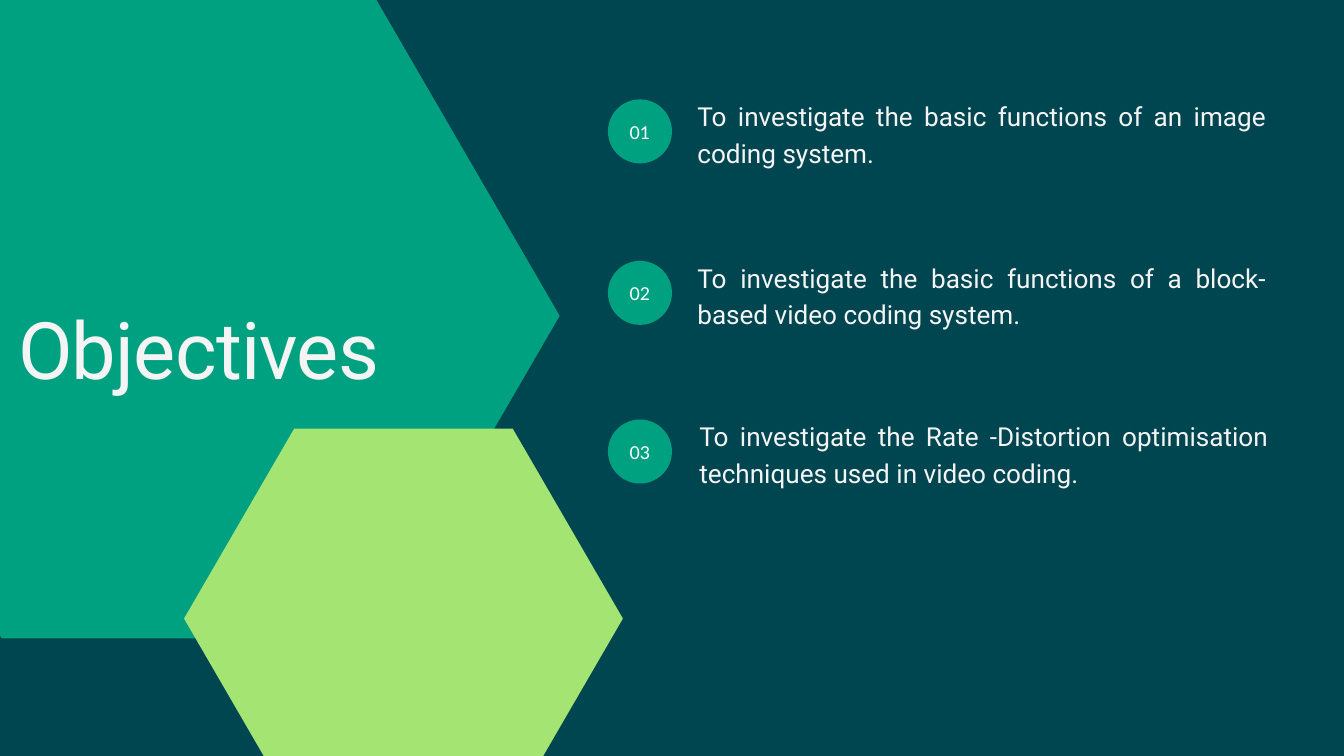
from dataclasses import dataclass

from pptx import Presentation
from pptx.dml.color import RGBColor
from pptx.enum.shapes import MSO_SHAPE
from pptx.enum.text import MSO_ANCHOR, MSO_AUTO_SIZE, PP_ALIGN
from pptx.shapes.autoshape import Shape
from pptx.slide import Slide
from pptx.text.text import TextFrame
from pptx.util import Pt

HEX, OVAL = MSO_SHAPE.HEXAGON, MSO_SHAPE.OVAL
MIDDLE, GROW = MSO_ANCHOR.MIDDLE, MSO_AUTO_SIZE.SHAPE_TO_FIT_TEXT
LEFT, CENTER, JUSTIFY = PP_ALIGN.LEFT, PP_ALIGN.CENTER, PP_ALIGN.JUSTIFY

NAVY = RGBColor(0x00, 0x46, 0x51)
GREEN = RGBColor(0x00, 0xA1, 0x81)
LIME = RGBColor(0xA4, 0xE4, 0x73)
PALE = RGBColor(0xF4, 0xF4, 0xF4)
WHITE = RGBColor(0xFF, 0xFF, 0xFF)

DOT_LEFT, DOT_SIZE = 651.4, 68.6
TEXT_RISE = 4.3


@dataclass(frozen=True)
class Box:
    left: float
    top: float
    width: float
    height: float


@dataclass(frozen=True)
class Style:
    face: str
    size: float
    pitch: float
    color: RGBColor
    align: PP_ALIGN


@dataclass(frozen=True)
class Goal:
    top: float
    left: float
    text: str


TITLE = Style("Roboto", 85, 102, PALE, LEFT)
BODY = Style("Roboto", 28, 39.2, PALE, JUSTIFY)
BADGE = Style("Lato", 19, 26.6, WHITE, CENTER)

HEXES = [
    (Box(-198.6, -7.2, 798.2, 691.2), GREEN),
    (Box(197.2, 459.3, 470.2, 406.9), LIME),
]
GOALS = [
    Goal(106.5, 747.2, "To investigate the basic functions of an image coding system."),
    Goal(279.5, 747.2, "To investigate the basic functions of a block-based video coding system."),
    Goal(449.5, 749.4, "To investigate the Rate -Distortion optimisation techniques used in video coding."),
]


def add_shape(slide: Slide, kind: MSO_SHAPE, box: Box, color: RGBColor) -> Shape:
    shape = slide.shapes.add_shape(
        kind, Pt(box.left), Pt(box.top), Pt(box.width), Pt(box.height))
    shape.shadow.inherit = False
    shape.fill.solid()
    shape.fill.fore_color.rgb = color
    shape.line.fill.background()
    return shape


def set_text(frame: TextFrame, text: str, style: Style) -> None:
    frame.margin_left = frame.margin_right = 0
    frame.margin_top = frame.margin_bottom = 0
    frame.word_wrap = True
    para = frame.paragraphs[0]
    para.add_run().text = text
    para.alignment = style.align
    para.line_spacing = Pt(style.pitch)
    para.font.name = style.face
    para.font.size = Pt(style.size)
    para.font.color.rgb = style.color


def add_text(slide: Slide, box: Box, text: str, style: Style) -> TextFrame:
    frame = slide.shapes.add_textbox(
        Pt(box.left), Pt(box.top), Pt(box.width), Pt(box.height)).text_frame
    set_text(frame, text, style)
    frame.auto_size = GROW
    return frame


def add_goal(slide: Slide, num: int, goal: Goal) -> None:
    dot = add_shape(slide, OVAL, Box(DOT_LEFT, goal.top, DOT_SIZE, DOT_SIZE), GREEN)
    frame = dot.text_frame
    set_text(frame, f"{num:02}", BADGE)
    frame.vertical_anchor = MIDDLE
    frame.margin_bottom = Pt(2.6)
    add_text(slide, Box(goal.left, goal.top - TEXT_RISE, 609, 77), goal.text, BODY)


def main() -> None:
    deck = Presentation()
    deck.slide_width, deck.slide_height = Pt(1440), Pt(810)
    slide = deck.slides.add_slide(deck.slide_layouts[6])
    slide.background.fill.solid()
    slide.background.fill.fore_color.rgb = NAVY

    for box, color in HEXES:
        add_shape(slide, HEX, box, color).adjustments[0] = 0.29

    title = add_text(slide, Box(19.4, 321.1, 412.6, 101.5), "Objectives", TITLE)
    title.paragraphs[0].runs[0]._r.get_or_add_rPr().set("spc", "-80")

    for num, goal in enumerate(GOALS, 1):
        add_goal(slide, num, goal)
    deck.save("out.pptx")


if __name__ == "__main__":
    main()
